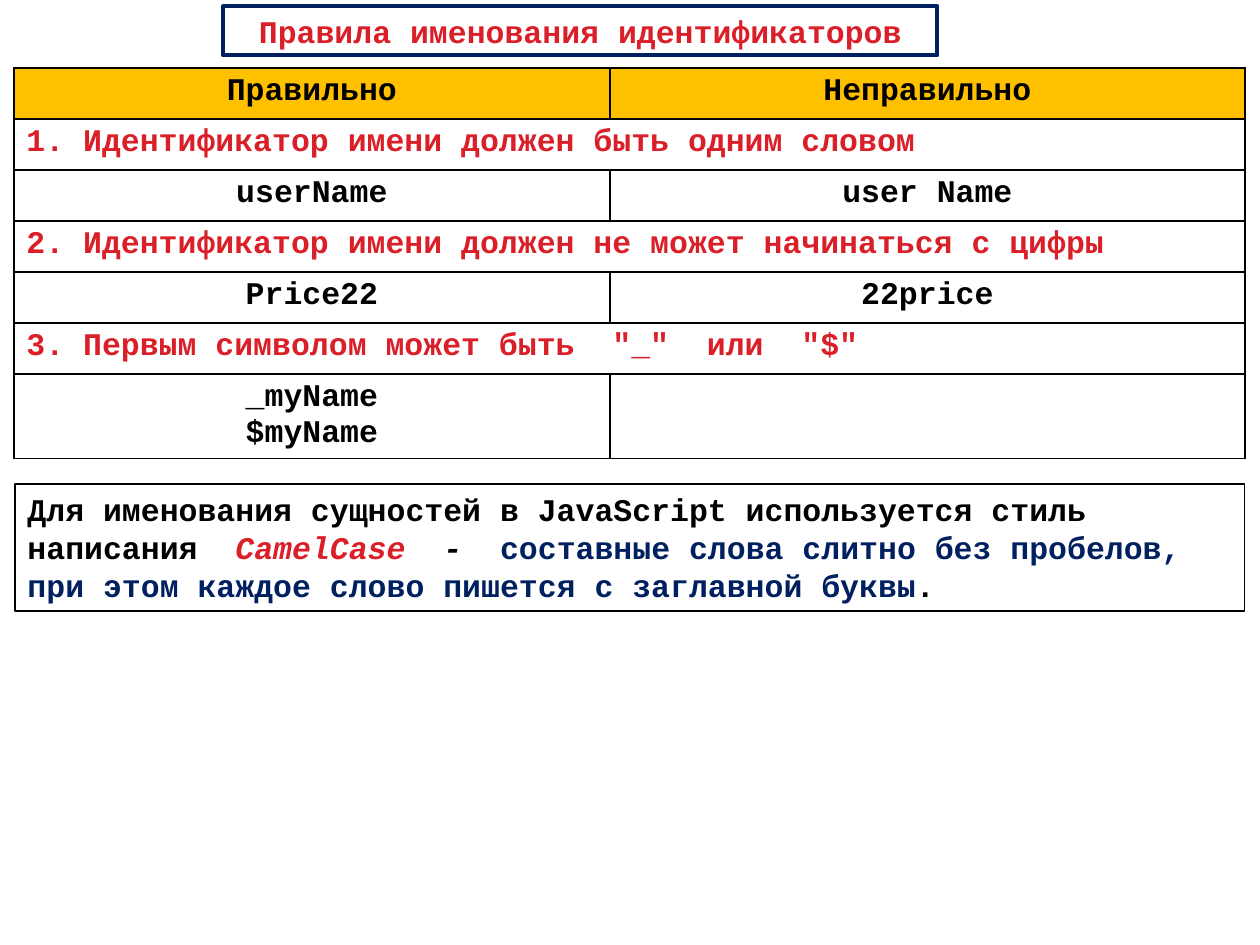
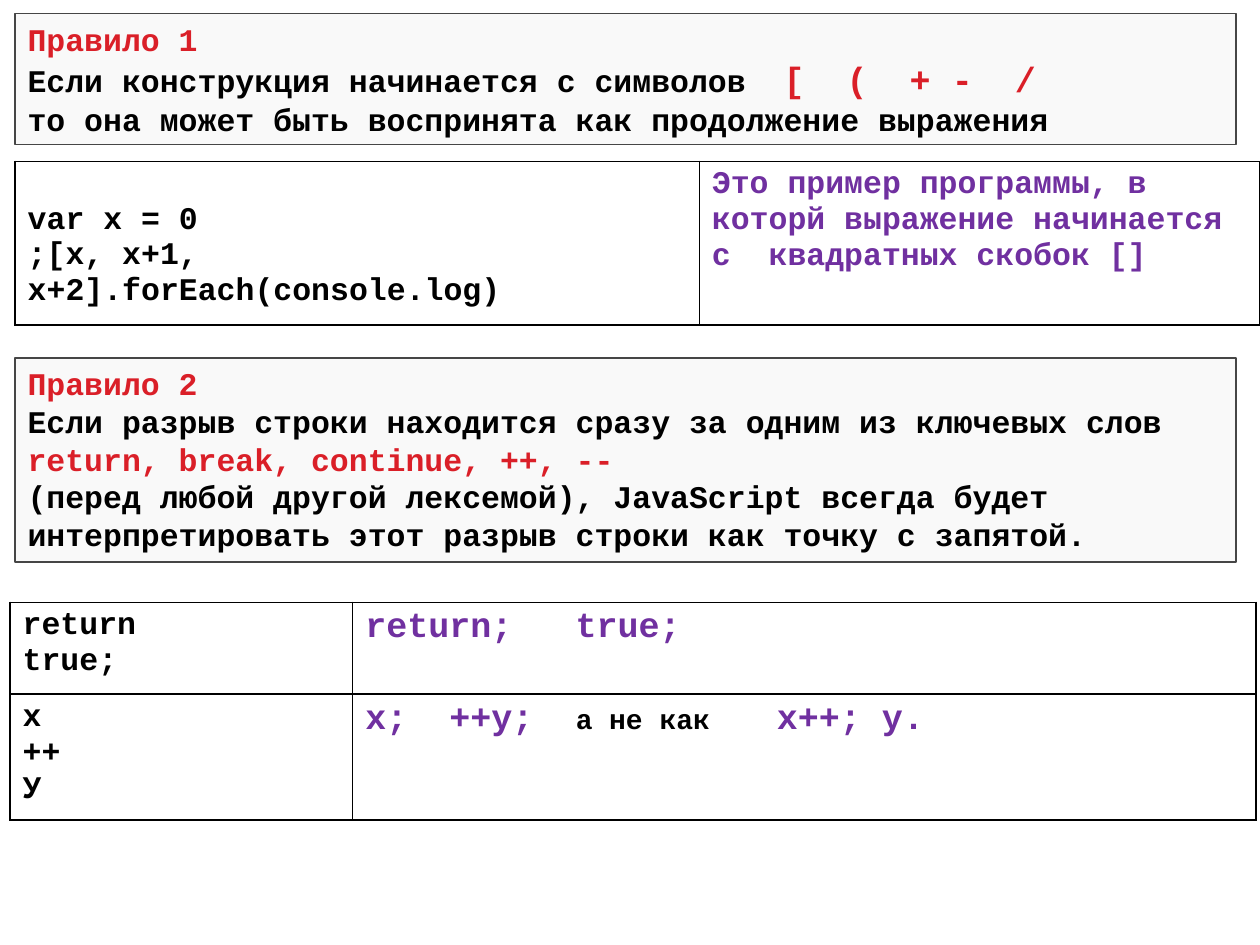
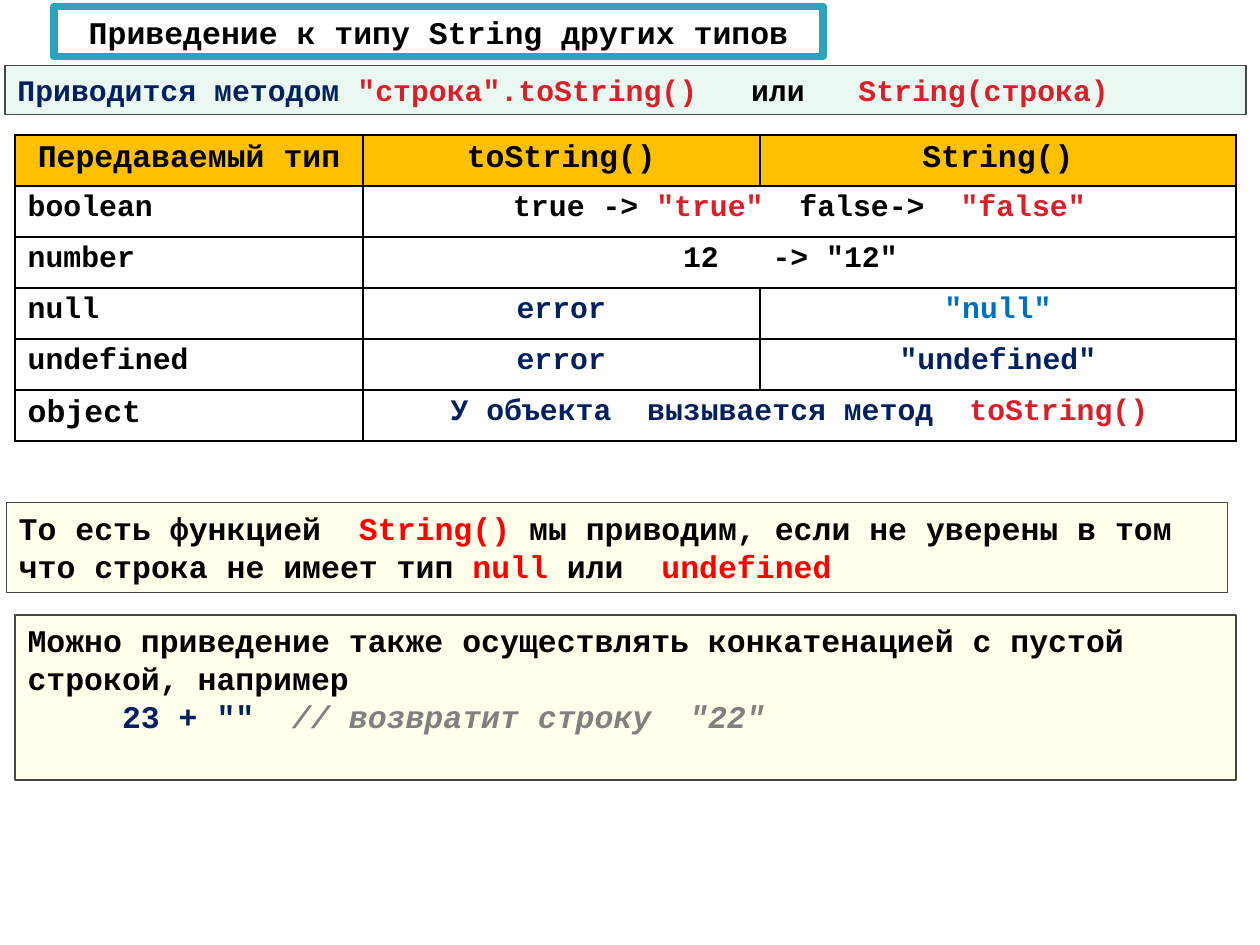
"""Builds three slides on JavaScript naming, line breaks and string conversion."""
from lxml.etree import SubElement
from pptx import Presentation
from pptx.dml.color import RGBColor
from pptx.enum.text import MSO_ANCHOR, MSO_AUTO_SIZE, PP_ALIGN
from pptx.oxml.ns import qn
from pptx.util import Inches, Pt

FONT = "Courier New"
COLORS = {
    "black": "000000", "white": "FFFFFF", "red": "DA1F28", "bright": "FF0000",
    "navy": "002060", "blue": "0070C0", "purple": "7030A0", "gray": "808080",
    "edge": "464646", "teal": "2DA2BF", "amber": "FFC000",
    "silver": "BFBFBF", "green": "00B050", "yellow": "FFFF00",
}
ALIGN = {"l": PP_ALIGN.LEFT, "c": PP_ALIGN.CENTER}
ROW = 2.43 / 6


def plain(*lines, color="black"):
    """Return one single-run paragraph per line."""
    return [[(line, color)] for line in lines]


SLIDES = [
    {
        "title": ("Правила именования идентификаторов", "red",
                  (1.77, 0.05, 5.67, 0.39), "navy", 2.25),
        "tables": [{
            "at": (0.11, 0.54), "cols": (4.73, 5.04), "header": True,
            "rows": [
                (ROW, "cc", 18, [plain("Правильно"), plain("Неправильно")]),
                (ROW, "l", 18, [plain("1. Идентификатор имени должен быть одним словом",
                                      color="red")]),
                (ROW, "cc", 18, [plain("userName"), plain("user Name")]),
                (ROW, "l", 18, [plain("2. Идентификатор имени должен не может начинаться "
                                      "с цифры", color="red")]),
                (ROW, "cc", 18, [plain("Price22"), plain("22price")]),
                (ROW, "l", 18, [plain('3. Первым символом может быть  "_"  или  "$"',
                                      color="red")]),
                (0.67, "cc", 18, [plain("_myName", "$myName"), []]),
            ],
        }],
        "boxes": [
            ((0.12, 3.84, 9.76, 1.01), None, "black", 18, [[
                ("Для именования сущностей в JavaScript используется стиль написания  ",
                 "black"),
                ("CamelCase ", "red", 18, True),
                (" -  ", "black", 18, True),
                ("составные слова слитно без пробелов, при этом каждое слово пишется "
                 "с заглавной буквы", "navy"),
                (".", "black")]]),
        ],
    },
    {
        "tables": [
            {
                "at": (0.12, 1.28), "cols": (5.43, 4.45), "skip_line": (0, 0),
                "rows": [(1.3, "ll", 18, [
                    plain("var x = 0", ";[x, x+1, x+2].forEach(console.log)"),
                    plain("Это пример программы, в которй выражение начинается "
                          "с  квадратных скобок []", color="purple")])],
            },
            {
                "at": (0.08, 4.78), "cols": (2.72, 7.17),
                "rows": [
                    (0.73, "ll", 18, [plain("return", "true;"),
                                      [[("return;   true;", "purple", 20)]]]),
                    (1, "ll", 18, [plain("х", "++", "У"),
                                   [[("х;  ++у;  ", "purple", 20),
                                     ("а не как    ", "black", 16),
                                     ("х++; у.", "purple", 20)]]]),
                ],
            },
        ],
        "boxes": [
            ((0.12, 0.11, 9.69, 1.04), "silver", "edge", 18, [
                [("Правило 1", "red")],
                [("Если конструкция начинается с символов  ", "black"),
                 ("[  (  + -  /", "red", 20)],
                [("то она может быть воспринята как продолжение выражения", "black")]]),
            ((0.12, 2.84, 9.69, 1.62), "silver", "edge", 18, [
                [("Правило 2", "red")],
                [("Если разрыв строки находится сразу за одним из ключевых слов", "black")],
                [("return, break, continue, ++, --", "red")],
                [("(перед любой другой лексемой), JavaScript всегда будет "
                  "интерпретировать этот разрыв строки как точку с запятой.", "black")]]),
        ],
    },
    {
        "title": ("Приведение к типу String других типов", "black",
                  (0.43, 0.05, 6.1, 0.4), "teal", 4.33),
        "tables": [{
            "at": (0.12, 1.07), "cols": (2.76, 3.15, 3.78), "header": True,
            "rows": [
                (ROW, "ccc", 18, [plain("Передаваемый тип"), plain("toString()"),
                                  plain("String()")]),
                (ROW, "lc", 17, [plain("boolean"),
                                 [[("true -> ", "black"), ('"true"  ', "red"),
                                   ("false->  ", "black"), ('"false"', "red")]]]),
                (ROW, "lc", 17, [plain("number"), plain('12   -> "12" ')]),
                (ROW, "lcc", 17, [plain("null"), plain("error", color="navy"),
                                  plain('"null"', color="blue")]),
                (ROW, "lcc", 17, [plain("undefined"), plain("error", color="navy"),
                                  plain('"undefined"', color="navy")]),
                (ROW, "lc", 17, [[[("object", "black", 18)]],
                                 [[("У объекта  вызывается метод  ", "navy"),
                                   ("toString()", "red")]]]),
            ],
        }],
        "boxes": [
            ((0.04, 0.52, 9.85, 0.39), "green", "edge", 17, [[
                ("Приводится методом ", "navy"), ('"cтрока".toString()   ', "red"),
                ("или   ", "black"), ("String(строка)", "red")]]),
            ((0.05, 3.99, 9.69, 0.71), "yellow", "edge", 18, [[
                ("То есть функцией  ", "black"), ("String() ", "bright"),
                ("мы приводим, если не уверены в том что строка не имеет тип ", "black"),
                ("null ", "bright"), ("или", "black"), ("  undefined", "bright")]]),
            ((0.12, 4.88, 9.69, 1.31), "yellow", "edge", 18, [
                [("Можно приведение также осуществлять конкатенацией с пустой строкой, "
                  "например", "black")],
                [('23 + ""  ', "navy"),
                 ('// возвратит строку  "22"', "gray", 18, True)]]),
        ],
        "indent": (2, 1, 0.75),
    },
]


def rgb(name):
    """Return a named colour."""
    return RGBColor.from_string(COLORS[name])


def write(tf, paragraphs, size, align="l"):
    """Fill a text frame run by run."""
    for i, runs in enumerate(paragraphs):
        p = tf.add_paragraph() if i else tf.paragraphs[0]
        p.alignment = ALIGN[align]
        p.line_spacing = 1.0
        p.space_before = p.space_after = Pt(0)
        for text, color, *style in runs:
            r = p.add_run()
            r.text = text
            r.font.name = FONT
            r.font.size = Pt(style[0] if style else size)
            r.font.bold = True
            r.font.italic = len(style) > 1
            r.font.color.rgb = rgb(color)


def frame(sp, fill, alpha, line, width):
    """Give a shape its fill and outline and a fixed, wrapping text frame."""
    if fill:
        sp.fill.solid()
        sp.fill.fore_color.rgb = rgb(fill)
        if alpha < 100:
            clr = sp.fill._xPr.find(qn("a:solidFill"))[0]
            SubElement(clr, qn("a:alpha"), val=str(alpha * 1000))
    sp.line.color.rgb = rgb(line)
    sp.line.width = Pt(width)
    sp.text_frame.word_wrap = True
    sp.text_frame.auto_size = MSO_AUTO_SIZE.NONE


def add_title(s, text, color, at, line, width):
    """Place the framed slide title."""
    sp = s.shapes.title
    sp.left, sp.top, sp.width, sp.height = map(Inches, at)
    frame(sp, "white", 100, line, width)
    sp.text_frame.vertical_anchor = MSO_ANCHOR.MIDDLE
    write(sp.text_frame, plain(text, color=color), 18, "c")


def add_box(s, at, fill, line, size, paragraphs):
    """Add a tinted note box."""
    sp = s.shapes.add_textbox(*map(Inches, at))
    frame(sp, fill, 8, line, 0.75)
    write(sp.text_frame, paragraphs, size)
    return sp


def style_cell(cell, fill):
    """Set black borders and the fill of a cell."""
    tcPr = cell._tc.get_or_add_tcPr()
    for side in "LRTB":
        ln = SubElement(tcPr, qn(f"a:ln{side}"), w=str(Pt(1)))
        SubElement(SubElement(ln, qn("a:solidFill")), qn("a:srgbClr"), val=COLORS["black"])
    if fill:
        cell.fill.solid()
        cell.fill.fore_color.rgb = rgb(fill)
    else:
        cell.fill.background()


def add_grid(s, at, cols, rows, header=False, skip_line=None):
    """Add a bordered table; the last cell of a short row spans the rest."""
    size = sum(cols), sum(row[0] for row in rows)
    tbl = s.shapes.add_table(len(rows), len(cols), *map(Inches, at + size)).table
    tbl.first_row = tbl.horz_banding = False
    for col, width in zip(tbl.columns, cols):
        col.width = Inches(width)
    for i, (height, aligns, font_size, cells) in enumerate(rows):
        tbl.rows[i].height = Inches(height)
        for j in range(len(cols)):
            style_cell(tbl.cell(i, j), "amber" if header and i == 0 else None)
        if len(cells) < len(cols):
            tbl.cell(i, len(cells) - 1).merge(tbl.cell(i, len(cols) - 1))
        for j, (align, paragraphs) in enumerate(zip(aligns, cells)):
            write(tbl.cell(i, j).text_frame, paragraphs, font_size, align)
    if skip_line:
        tbl.cell(*skip_line).margin_top = Inches(0.33)


def main():
    """Build and save the deck."""
    prs = Presentation()
    prs.slide_width, prs.slide_height = Inches(10), Inches(7.5)
    for content in SLIDES:
        s = prs.slides.add_slide(prs.slide_layouts[5 if "title" in content else 6])
        if "title" in content:
            add_title(s, *content["title"])
        for table in content["tables"]:
            add_grid(s, **table)
        boxes = [add_box(s, *box) for box in content["boxes"]]
        if "indent" in content:
            box, paragraph, indent = content["indent"]
            pPr = boxes[box].text_frame.paragraphs[paragraph]._p.get_or_add_pPr()
            pPr.set("marL", str(Inches(indent)))
    prs.save("out.pptx")


if __name__ == "__main__":
    main()
